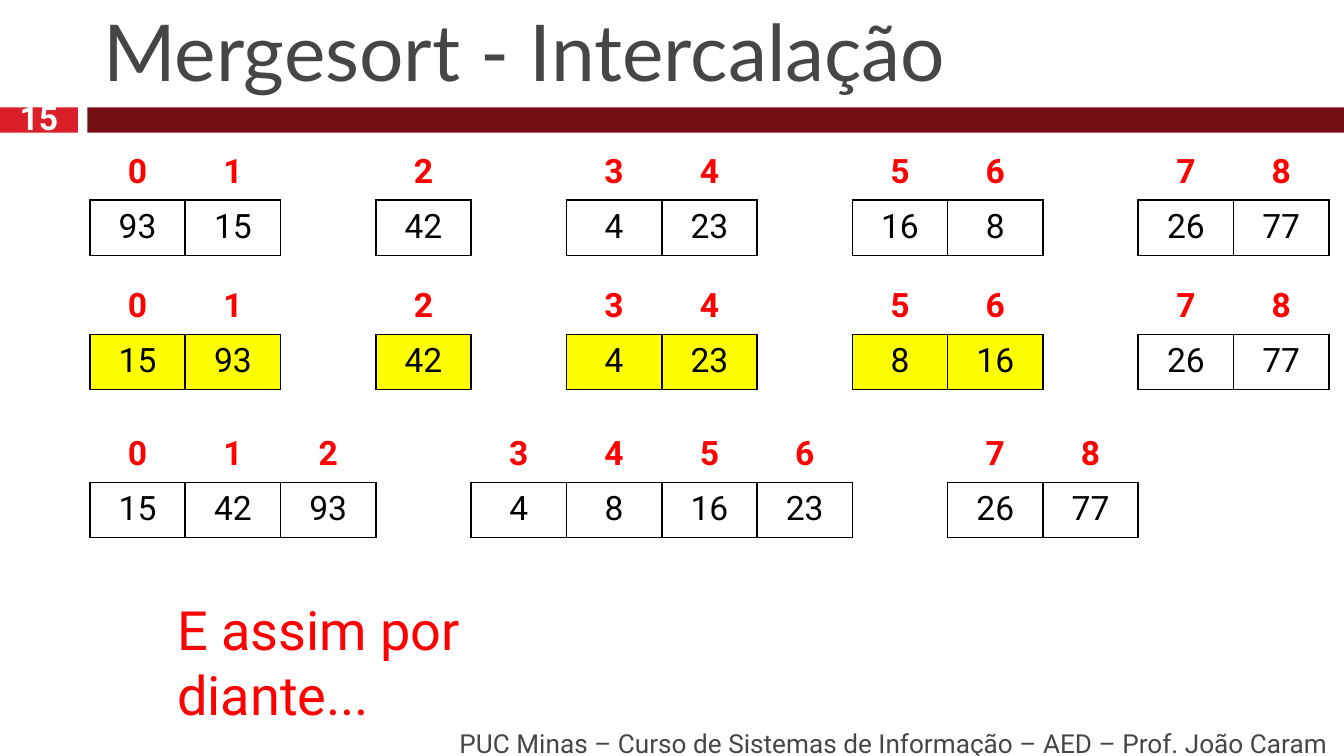
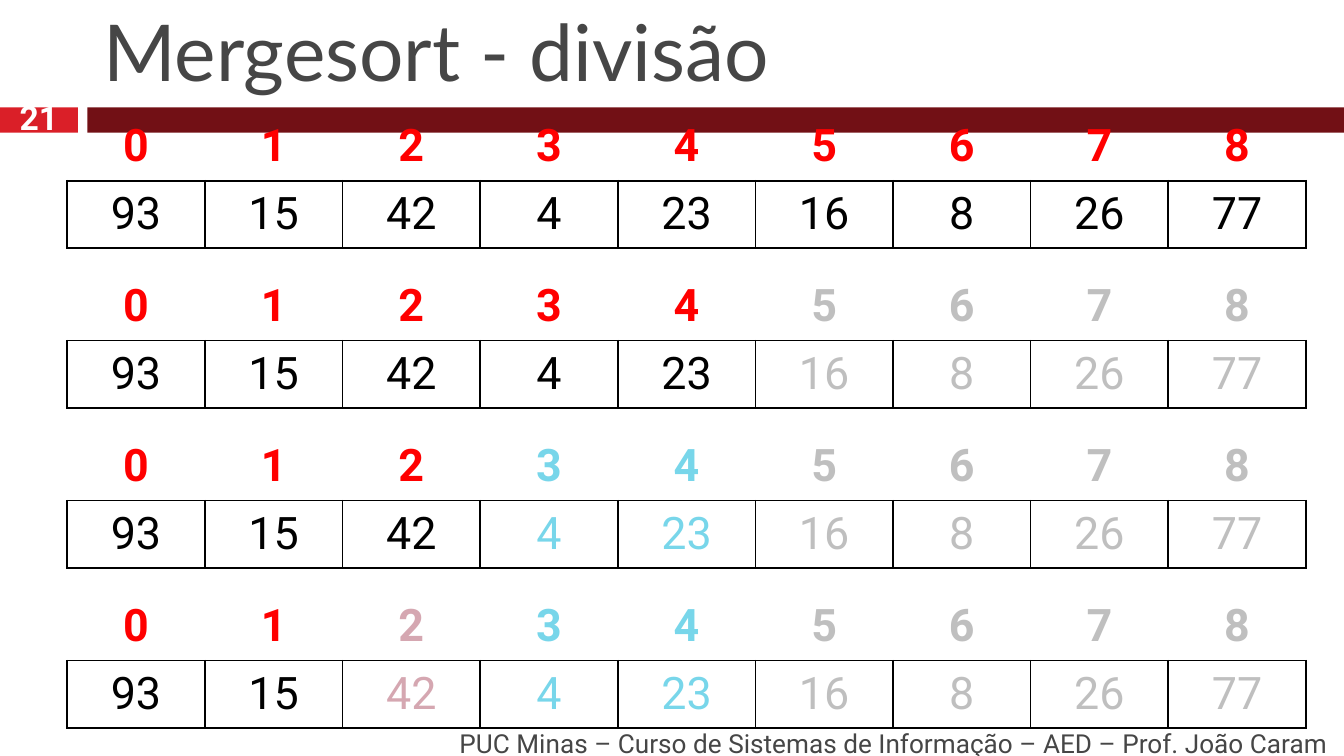
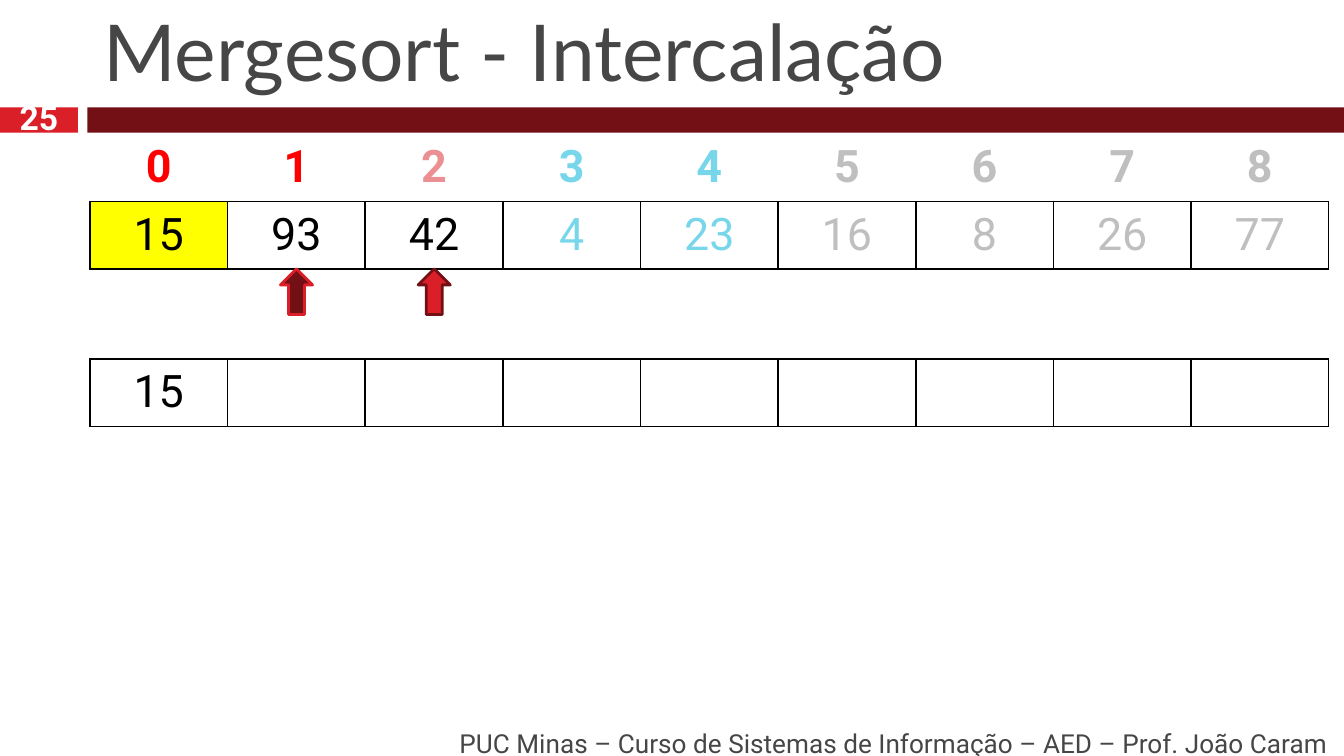
from lxml.etree import SubElement
from pptx import Presentation
from pptx.dml.color import RGBColor as Rgb
from pptx.enum.shapes import MSO_SHAPE as Kind
from pptx.enum.text import MSO_ANCHOR as Anchor, PP_ALIGN as Align
from pptx.oxml.ns import qn
from pptx.util import Pt

HEX = {"white": "FFFFFF", "black": "000000", "text": "464646", "red": "FF0000",
       "tab": "DA1F28", "band": "721015", "mark": "FFFF00", "gray": "BFBFBF",
       "cyan": "78D6EA", "rose": "D5A7B1", "pink": "EC8F93"}

# Each tone gives the colours of an index and of its value
TONES = {"d": ("red", "black"), "g": ("gray", "gray"), "c": ("cyan", "cyan"),
         "r": ("rose", "rose"), "p": ("pink", "black")}
FOOTER = "PUC Minas – Curso de Sistemas de Informação – AED – Prof. João Caram"
SPAN = 663.8
SMALL = {"size": 18, "wide": SPAN / 13, "high": 29.5}
BIG = {"size": 24, "wide": SPAN / 9, "high": 35.4}

# Content: groups of values stand apart, separated by an empty column
START = [[93, 15, 42, 4, 23, 16, 8, 26, 77]]
PAIRS = [[93, 15], [42], [4, 23], [16, 8], [26, 77]]
SORTED = [[15, 93], [42], [4, 23], [8, 16], [26, 77]]
MERGED = [[15, 42, 93], [4, 8, 16, 23], [26, 77]]
SPLIT = ["ddddddddd", "dddddgggg", "dddccgggg", "ddrccgggg"]

SLIDES = [
    {"title": "Mergesort - Intercalação", "page": 15, "left": 48.2, "form": SMALL,
     "rows": [{"top": 77.8, "groups": PAIRS},
              {"top": 149.8, "groups": SORTED, "marks": range(7)},
              {"top": 229, "groups": MERGED}],
     "note": "E assim por diante..."},
    {"title": "Mergesort - divisão", "page": 21, "left": 36, "form": BIG,
     "rows": [{"top": 60.8 + 85.7 * i, "groups": START, "tones": tones}
              for i, tones in enumerate(SPLIT)]},
    {"title": "Mergesort - Intercalação", "page": 25, "left": 48.2, "form": BIG,
     "rows": [{"top": 72, "groups": [[15, 93, 42, 4, 23, 16, 8, 26, 77]],
               "tones": "ddpccgggg", "marks": [0]},
              {"top": 157, "groups": [[15] + [""] * 8], "heads": False}],
     "arrows": [(1, "band", "tab"), (2, "tab", "band")]},
]


def tint(name):
    return Rgb.from_string(HEX[name])


def write(frame, text, size, color, face="Roboto", bold=False, align=Align.LEFT):
    par = frame.paragraphs[0]
    par.alignment = align
    run = par.add_run()
    run.text = str(text)
    for key, val in {"size": Pt(size), "name": face, "bold": bold}.items():
        setattr(run.font, key, val)
    run.font.color.rgb = tint(color)


def label(slide, box, text, size, color, anchor=Anchor.MIDDLE, **style):
    frame = slide.shapes.add_textbox(*map(Pt, box)).text_frame
    frame.word_wrap = True
    frame.vertical_anchor = anchor
    write(frame, text, size, color, **style)


def solid(slide, kind, box, fill, line=None):
    shape = slide.shapes.add_shape(kind, *map(Pt, box))
    shape.shadow.inherit = False
    shape.fill.solid()
    shape.fill.fore_color.rgb = tint(fill)
    if line:
        shape.line.color.rgb = tint(line)
        shape.line.width = Pt(1.5)
    else:
        shape.line.fill.background()
    return shape


def edge(cell, sides):
    props = cell._tc.get_or_add_tcPr()
    for side in sides:
        line = SubElement(props, qn("a:ln" + side), w=str(Pt(1)))
        paint = SubElement(line, qn("a:solidFill"))
        SubElement(paint, qn("a:srgbClr"), val=HEX["black"])


def array(slide, left, form, top, groups, tones="d" * 9, marks=(), heads=True):
    # Lay the groups out as columns, None for a gap
    cols = []
    for group in groups:
        cols += ([None] if cols else []) + group
    wide, high, size = form["wide"], form["high"], form["size"]
    table = slide.shapes.add_table(2, len(cols), Pt(left), Pt(top),
                                   Pt(wide * len(cols)), Pt(high * 2)).table
    table.first_row = table.horz_banding = False
    style = table._tbl.tblPr.find(qn("a:tableStyleId"))
    style.text = "{2D5ABB26-0587-4C30-8999-92F81FD0307C}"
    for col in table.columns:
        col.width = Pt(wide)
    for row in table.rows:
        row.height = Pt(high)

    index = 0
    for x, value in enumerate(cols):
        head, cell = table.cell(0, x), table.cell(1, x)
        if value is None:
            edge(cell, "LR")
            continue
        edge(head, "B")
        edge(cell, "LRTB")
        hue, ink = TONES[tones[index]]
        if heads:
            write(head.text_frame, index, size, hue, bold=True, align=Align.CENTER)
        if value != "":
            write(cell.text_frame, value, size, ink, align=Align.CENTER)
        if index in marks:
            cell.fill.solid()
            cell.fill.fore_color.rgb = tint("mark")
        index += 1


def base(deck, title, page):
    slide = deck.slides.add_slide(deck.slide_layouts[5])
    # Bands
    solid(slide, Kind.RECTANGLE, (0, 57.6, 41.8, 13.5), "tab")
    solid(slide, Kind.RECTANGLE, (46.8, 57.6, 673.2, 13.5), "band")
    # Title
    head = slide.shapes.title
    box = {"left": 48.2, "top": 9.4, "width": SPAN, "height": 46}
    for key, val in box.items():
        setattr(head, key, Pt(val))
    head.text_frame.vertical_anchor = Anchor.BOTTOM
    write(head.text_frame, title, 42, "text", face="Lato")
    # Footer and page number
    label(slide, (76.3, 387.4, 642.2, 21.6), FOOTER, 14, "text", align=Align.RIGHT)
    label(slide, (0, 55.4, 41.8, 14.4), page, 18, "white", bold=True,
          align=Align.CENTER)
    return slide


def main():
    deck = Presentation()
    deck.slide_width, deck.slide_height = Pt(720), Pt(405)
    for item in SLIDES:
        slide = base(deck, item["title"], item["page"])
        left, form = item["left"], item["form"]
        for row in item["rows"]:
            array(slide, left, form, **row)
        # Arrows under the compared columns
        for col, fill, line in item.get("arrows", []):
            mid = left + form["wide"] * (col + 0.5)
            arrow = solid(slide, Kind.DOWN_ARROW, (mid - 8.6, 144, 17.2, 24.5),
                          fill, line)
            arrow.rotation = 180
        if "note" in item:
            label(slide, (87.8, 316.1, 265.7, 42.5), item["note"], 29, "red",
                  anchor=Anchor.TOP)
    deck.save("out.pptx")


if __name__ == "__main__":
    main()
